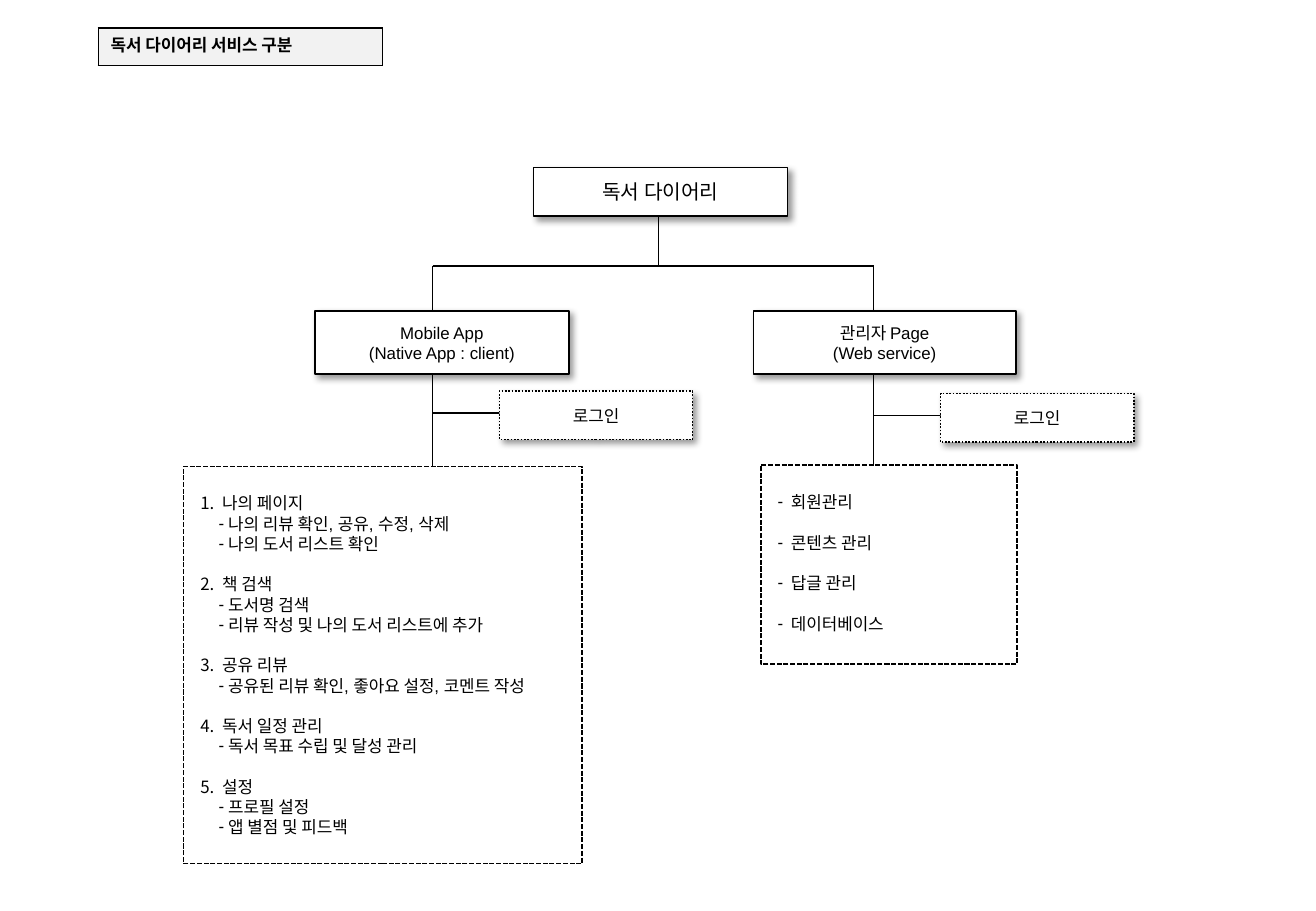
from lxml.etree import SubElement
from pptx import Presentation
from pptx.dml.color import RGBColor
from pptx.enum.dml import MSO_LINE as DASH
from pptx.enum.shapes import MSO_CONNECTOR as CONN, MSO_SHAPE as SHAPE
from pptx.enum.text import MSO_ANCHOR as ANCHOR, PP_ALIGN as ALIGN
from pptx.oxml import parse_xml
from pptx.oxml.ns import nsdecls, qn
from pptx.util import Inches, Pt

HEX = {"ink": "000000", "paper": "FFFFFF", "header": "F2F2F2"}
COLORS = {name: RGBColor.from_string(value) for name, value in HEX.items()}
SHADOW = (f'<a:effectLst {nsdecls("a")}><a:outerShdw blurRad="50800" dist="38100" '
          f'dir="2700000" algn="tl" rotWithShape="0"><a:srgbClr val="{HEX["ink"]}">'
          '<a:alpha val="40000"/></a:srgbClr></a:outerShdw></a:effectLst>')


def add_box(left, top, width, height, dash=None):
    """Add a white outlined rectangle and return it."""
    s = shapes.add_shape(SHAPE.RECTANGLE, *map(Inches, (left, top, width, height)))
    s.shadow.inherit = False
    s.fill.solid()
    s.fill.fore_color.rgb = COLORS["paper"]
    s.line.color.rgb = COLORS["ink"]
    s.line.width = Pt(1)
    if dash:
        s.line.dash_style = dash
    s.text_frame.word_wrap = True
    return s


def add_line(p, text, size=10, font="Arial", bold=False):
    """Write one formatted run into a paragraph."""
    r = p.add_run()
    r.text = text
    for key, value in {"name": font, "size": Pt(size), "bold": bold}.items():
        setattr(r.font, key, value)
    r.font.color.rgb = COLORS["ink"]
    p.line_spacing = Pt(size * 1.2)


prs = Presentation()
prs.slide_width, prs.slide_height = Inches(10.83), Inches(7.5)
shapes = prs.slides.add_slide(prs.slide_layouts[6]).shapes

# Tree lines
ROOT_X, APP_X, ADMIN_X, BRANCH_Y = 5.42, 3.56, 7.19, 2.19
for ends in [(ROOT_X, 1.72, ROOT_X, BRANCH_Y),
             (APP_X, BRANCH_Y, ADMIN_X, BRANCH_Y),
             (APP_X, BRANCH_Y, APP_X, 3.88),
             (ADMIN_X, BRANCH_Y, ADMIN_X, 3.88),
             (APP_X, 3.4, APP_X + 0.57, 3.4),
             (ADMIN_X, 3.42, ADMIN_X + 0.57, 3.42)]:
    s = shapes.add_connector(CONN.STRAIGHT, *map(Inches, ends))
    s.line.color.rgb = COLORS["ink"]
    s.line.width = Pt(0.75)
    SubElement(s._element.spPr, qn("a:effectLst"))

# Tree nodes
for frame, size, dash, lines in [
        ((4.39, 1.38, 2.09, 0.4), 12, None, ["독서 다이어리"]),
        ((2.59, 2.56, 2.09, 0.52), 10, None, ["Mobile App", "(Native App : client)"]),
        ((6.2, 2.56, 2.16, 0.52), 10, None, ["관리자 Page", "(Web service)"]),
        ((4.11, 3.22, 1.59, 0.4), 10, DASH.ROUND_DOT, ["로그인"]),
        ((7.74, 3.24, 1.59, 0.4), 10, DASH.ROUND_DOT, ["로그인"])]:
    s = add_box(*frame, dash)
    spPr = s._element.spPr
    spPr.replace(spPr.find(qn("a:effectLst")), parse_xml(SHADOW))
    tf = s.text_frame
    tf.vertical_anchor = ANCHOR.MIDDLE
    for i, text in enumerate(lines):
        p = tf.add_paragraph() if i else tf.paragraphs[0]
        p.alignment = ALIGN.CENTER
        add_line(p, text, size)

# Feature lists: each group is a heading followed by its details
app_groups = [
    ["나의 페이지", "나의 리뷰 확인, 공유, 수정, 삭제", "나의 도서 리스트 확인"],
    ["책 검색", "도서명 검색", "리뷰 작성 및 나의 도서 리스트에 추가"],
    ["공유 리뷰", "공유된 리뷰 확인, 좋아요 설정, 코멘트 작성"],
    ["독서 일정 관리", "독서 목표 수립 및 달성 관리"],
    ["설정", "프로필 설정", "앱 별점 및 피드백"]]
admin_groups = [["회원관리"], ["콘텐츠 관리"], ["답글 관리"], ["데이터베이스"]]
for frame, groups, numbered, margin, hang in [
        ((1.51, 3.84, 3.28, 3.27), app_groups, True, 0.22, 0.18),
        ((6.26, 3.83, 2.11, 1.64), admin_groups, False, 0.15, 0.11)]:
    tf = add_box(*frame, DASH.SQUARE_DOT).text_frame
    tf.vertical_anchor = ANCHOR.TOP
    tf.margin_top = Inches(0.22)
    for number, group in enumerate(groups, 1):
        for i, text in enumerate(group):
            first = number == 1 and i == 0
            p = tf.paragraphs[0] if first else tf.add_paragraph()
            p.alignment = ALIGN.LEFT
            p.level = 1 if i else 0
            p.space_before = Pt(0 if first or i else 12)
            add_line(p, text)
            pPr = p._p.get_or_add_pPr()
            pPr.set("marL", str(Inches(0.27 if i else margin)))
            pPr.set("indent", str(-Inches(0.08 if i else hang)))
            SubElement(pPr, qn("a:buFont"), typeface="Arial")
            if numbered and not i:
                SubElement(pPr, qn("a:buAutoNum"), type="arabicPeriod", startAt=str(number))
            else:
                SubElement(pPr, qn("a:buChar"), char="-")

# Heading table
table = shapes.add_table(1, 1, *map(Inches, (0.81, 0.23, 2.34, 0.31))).table
table.first_row = table.horz_banding = False
cell = table.cell(0, 0)
cell.vertical_anchor = ANCHOR.MIDDLE
tcPr = cell._tc.get_or_add_tcPr()
for side in "LRTB":
    ln = SubElement(tcPr, qn(f"a:ln{side}"), w=str(Pt(1)))
    SubElement(SubElement(ln, qn("a:solidFill")), qn("a:srgbClr"), val=HEX["ink"])
cell.fill.solid()
cell.fill.fore_color.rgb = COLORS["header"]
add_line(cell.text_frame.paragraphs[0], "독서 다이어리 서비스 구분", font="Noto Sans CJK KR", bold=True)

prs.save("out.pptx")
